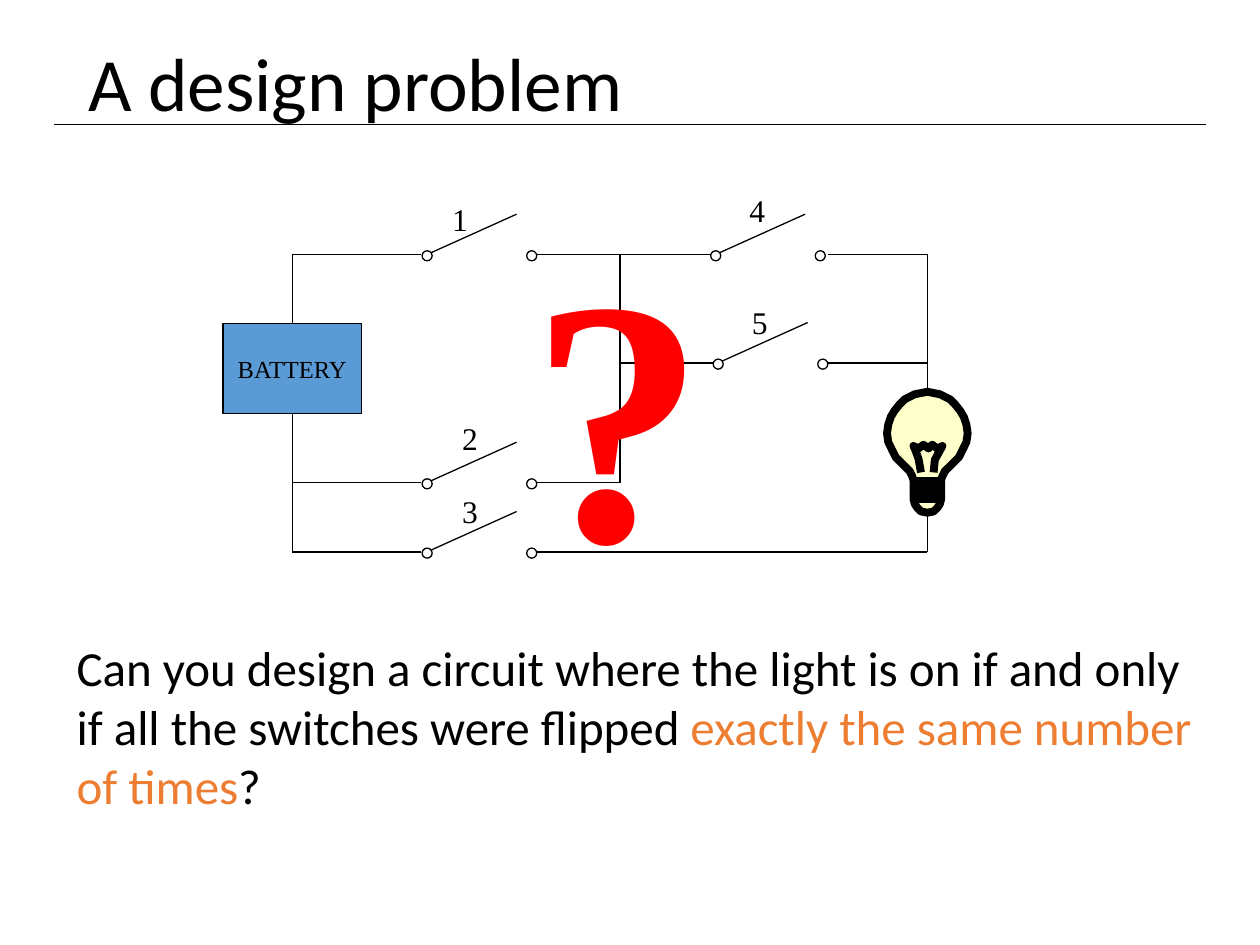
"""Build a slide that poses a circuit design problem with five switches."""
from pptx import Presentation
from pptx.dml.color import RGBColor
from pptx.enum.shapes import MSO_CONNECTOR, MSO_SHAPE
from pptx.enum.text import MSO_ANCHOR, MSO_AUTO_SIZE, PP_ALIGN
from pptx.oxml.ns import qn
from pptx.util import Inches, Pt
from lxml.etree import SubElement

COLORS = {"ink": "000000", "paper": "FFFFFF", "battery": "5B9BD5",
          "accent": "ED7D31", "alert": "FF0000", "glow": "FFFFCC"}
FONTS = {
    "title": {"name": "Calibri", "size": Pt(43)},
    "body": {"name": "Calibri", "size": Pt(28)},
    "label": {"name": "Times New Roman", "size": Pt(18)},
    "battery": {"name": "Times New Roman", "size": Pt(14)},
    "mark": {"name": "Times New Roman", "size": Pt(200), "bold": True},
}
TITLE = [("A design problem", "ink")]
QUESTION = [
    ("Can you design a circuit where the light is on if and only if all the "
     "switches were flipped ", "ink"),
    ("exactly the same number of times", "accent"),
    ("?", "ink"),
]

LEFT, MID, RIGHT = 2.32, 4.92, 7.36
TOP, INNER, LOWER, BASE = 2.02, 2.88, 3.83, 4.38
BATTERY = (1.77, 2.57, 1.1, 0.71)
RULE = (0.43, 0.99, 9.57, 0.99)
WIRES = [
    (LEFT, TOP, 3.34, TOP), (4.21, TOP, 5.7, TOP), (6.57, TOP, RIGHT, TOP),
    (MID, INNER, 5.7, INNER), (6.57, INNER, RIGHT, INNER),
    (LEFT, LOWER, 3.34, LOWER), (4.21, LOWER, MID, LOWER),
    (LEFT, BASE, 3.34, BASE), (4.21, BASE, RIGHT, BASE),
    (MID, TOP, MID, LOWER), (RIGHT, TOP, RIGHT, BASE),
]
SWITCHES = [
    ("1", 3.39, TOP, 3.49, 1.54), ("2", 3.39, LOWER, 3.57, 3.28),
    ("3", 3.39, BASE, 3.57, 3.86), ("4", 5.68, TOP, 5.85, 1.47),
    ("5", 5.7, INNER, 5.87, 2.36),
]
DOT, GAP, ARM = 0.08, 0.83, (0.71, -0.32)

HALF = [
    (0, 3.11), (0.05, 3.12), (0.1, 3.13), (0.14, 3.15), (0.18, 3.17),
    (0.22, 3.21), (0.26, 3.26), (0.29, 3.31), (0.31, 3.37), (0.32, 3.44),
    (0.31, 3.51), (0.28, 3.57), (0.25, 3.63), (0.21, 3.67), (0.14, 3.74),
    (0.12, 3.78), (0.11, 3.81), (0.11, 3.96), (0.1, 4.0), (0.08, 4.03),
    (0.05, 4.06), (0, 4.07),
]
COIL = [(7.31, 3.75), (7.29, 3.64), (7.26, 3.56), (7.25, 3.54), (7.29, 3.56),
        (7.33, 3.53), (7.37, 3.56), (7.4, 3.53), (7.44, 3.56), (7.48, 3.54),
        (7.42, 3.65), (7.41, 3.75)]
SCREW = [(7.25, 3.82), (7.47, 3.82), (7.47, 3.86), (7.25, 3.86),
         (7.25, 3.91), (7.47, 3.91), (7.47, 3.96), (7.26, 3.96)]


def color(key):
    return RGBColor.from_string(COLORS[key])


def scale(nums):
    return [Inches(n) for n in nums]


def ink(shape, width=0.75):
    shape.line.color.rgb = color("ink")
    shape.line.width = Pt(width)


def paint(shape, fill, width=0.75):
    shape.shadow.inherit = False
    if fill:
        shape.fill.solid()
        shape.fill.fore_color.rgb = color(fill)
    else:
        shape.fill.background()
    ink(shape, width)


def write(frame, runs, style, **layout):
    for name, value in layout.items():
        setattr(frame, name, value)
    para = frame.paragraphs[0]
    for text, tint in runs:
        run = para.add_run()
        run.text = text
        for name, value in FONTS[style].items():
            setattr(run.font, name, value)
        run.font.color.rgb = color(tint)
    return para


def label(shapes, box, runs, style, wrap=False, grow=True):
    fit = MSO_AUTO_SIZE.SHAPE_TO_FIT_TEXT if grow else MSO_AUTO_SIZE.NONE
    frame = shapes.add_textbox(*scale(box)).text_frame
    return write(frame, runs, style, word_wrap=wrap, auto_size=fit)


def wire(shapes, ends):
    line = shapes.add_connector(MSO_CONNECTOR.STRAIGHT, *scale(ends))
    ink(line)
    SubElement(line._element.spPr, qn("a:effectLst"))
    return line


def preset(shapes, kind, box, fill):
    shape = shapes.add_shape(kind, *scale(box))
    paint(shape, fill)
    return shape


def outline(shapes, paths, fill, close):
    first = paths[0][0]
    pen = shapes.build_freeform(*scale(first), scale=1.0)
    for path in paths:
        if path[0] != first:
            pen.move_to(*scale(path[0]))
        pen.add_line_segments([scale(p) for p in path[1:]], close=close)
    paint(pen.convert_to_shape(), fill, 4.5)


def switch(shapes, name, x, y, left, top):
    wire(shapes, (x, y, x + ARM[0], y + ARM[1]))
    for mid in (x, x + GAP):
        box = (mid - DOT / 2, y - 0.03, DOT, DOT)
        preset(shapes, MSO_SHAPE.OVAL, box, "paper")
    label(shapes, (left, top, 0.34, 0.4), [(name, "ink")], "label")


def circuit(shapes):
    cell = preset(shapes, MSO_SHAPE.RECTANGLE, BATTERY, "battery")
    para = write(cell.text_frame, [("BATTERY", "ink")], "battery",
                 word_wrap=False, vertical_anchor=MSO_ANCHOR.MIDDLE)
    para.alignment = PP_ALIGN.CENTER
    for ends in WIRES:
        wire(shapes, ends)
    wire(shapes, (LEFT, TOP, LEFT, 2.57)).end_connect(cell, 0)
    wire(shapes, (LEFT, 3.28, LEFT, BASE)).begin_connect(cell, 2)
    for item in SWITCHES:
        switch(shapes, *item)
    glass = [(RIGHT + dx, y) for dx, y in HALF]
    glass += [(RIGHT - dx, y) for dx, y in HALF[-2:0:-1]]
    outline(shapes, [glass], "glow", True)
    outline(shapes, [COIL, SCREW], None, False)


def main():
    deck = Presentation()
    deck.slide_width, deck.slide_height = scale((10, 7.5))
    shapes = deck.slides.add_slide(deck.slide_layouts[6]).shapes
    wire(shapes, RULE)
    title = label(shapes, (0.6, -0.03, 8.62, 1.45), TITLE, "title", True, False)
    title.line_spacing = 0.9
    shapes[-1].text_frame.vertical_anchor = MSO_ANCHOR.MIDDLE
    body = label(shapes, (0.51, 5.01, 9.06, 1.5), QUESTION, "body", True)
    body.space_before = Pt(17.5)
    circuit(shapes)
    label(shapes, (4.11, 1.47, 1.73, 3.44), [("?", "alert")], "mark")
    deck.save("out.pptx")


if __name__ == "__main__":
    main()
